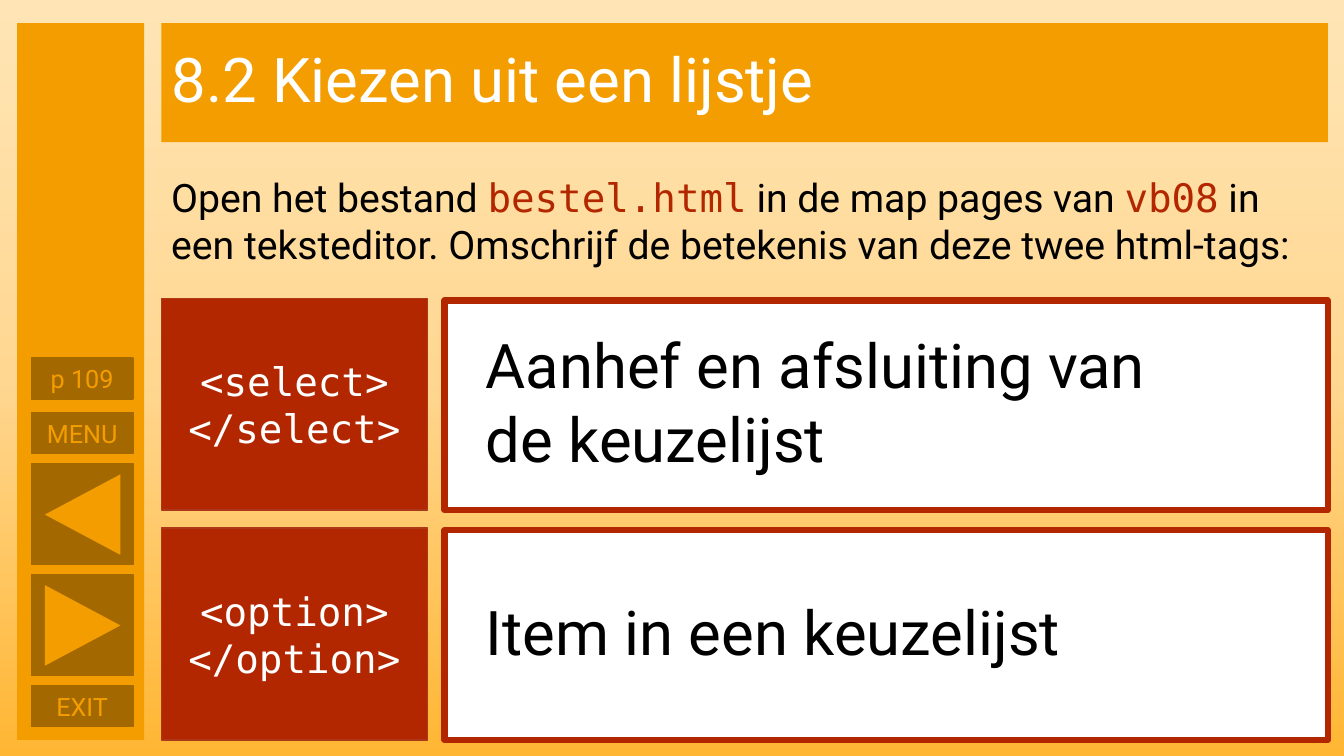
from dataclasses import dataclass
from lxml.etree import SubElement
from pptx import Presentation
from pptx.dml.color import RGBColor
from pptx.enum.shapes import MSO_SHAPE as Shape
from pptx.enum.text import MSO_ANCHOR as Anchor, MSO_AUTO_SIZE as Fit, PP_ALIGN as Align
from pptx.oxml.ns import qn
from pptx.util import Inches, Pt

# Content
TITLE = "8.2 Kiezen uit een lijstje"
TASK = [
    ("Open het bestand ", False),
    ("bestel.html", True),
    (" in de map pages van ", False),
    ("vb08", True),
    (" in een teksteditor. Omschrijf de betekenis van deze twee html-tags:", False),
]
TAGS = [
    (("<select>", "</select>"), "Aanhef en afsluiting van de keuzelijst", 1.58),
    (("<option>", "</option>"), "Item in een keuzelijst", 0.84),
]
LABELS = [("p 109", 3.55), ("MENU", 4.09), ("EXIT", 6.8)]
ARROWS = [(4.6, 270), (5.7, 90)]


@dataclass(frozen=True)
class Theme:
    sans: str = "Roboto"
    mono: str = "DejaVu Sans Mono"
    orange: str = "F49D00"
    brown: str = "A36900"
    red: str = "B22600"
    rim: str = "AC3819"
    white: str = "FFFFFF"
    black: str = "000000"
    sky: tuple = ((0, "FFE5B5"), (50, "FFD791"), (100, "FFB633"))
    big: int = 44
    body: int = 28
    small: int = 18


T = Theme()
LEFT, WIDE = 1.6, 11.57   # main column
TOP, STEP = 2.96, 2.28    # rows of tags


def rgb(code):
    return RGBColor.from_string(code)


def box(slide, at, fill, line=None, width=1, kind=Shape.RECTANGLE):
    shape = slide.shapes.add_shape(kind, *map(Inches, at))
    shape.shadow.inherit = False
    shape.fill.solid()
    shape.fill.fore_color.rgb = rgb(fill)
    if line:
        shape.line.color.rgb = rgb(line)
        shape.line.width = Pt(width)
    else:
        shape.line.fill.background()
    return shape


def write(para, text, size, color, face=T.sans):
    run = para.add_run()
    run.text = text
    run.font.size = Pt(size)
    run.font.name = face
    run.font.color.rgb = rgb(color)


def center(shape, lines, size, color, face=T.sans):
    frame = shape.text_frame
    frame.vertical_anchor = Anchor.MIDDLE
    for i, line in enumerate(lines):
        para = frame.add_paragraph() if i else frame.paragraphs[0]
        para.alignment = Align.CENTER
        write(para, line, size, color, face)


def textbox(slide, at):
    frame = slide.shapes.add_textbox(*map(Inches, at)).text_frame
    frame.word_wrap = True
    frame.auto_size = Fit.SHAPE_TO_FIT_TEXT
    return frame.paragraphs[0]


def backdrop(slide):
    slide.background.fill.gradient()
    grad = slide.element.find(".//" + qn("a:gradFill"))
    stops = grad.find(qn("a:gsLst"))
    for old in list(stops):
        stops.remove(old)
    for pos, code in T.sky:
        stop = SubElement(stops, qn("a:gs"), pos=str(pos * 1000))
        SubElement(stop, qn("a:srgbClr"), val=code)
    grad.find(qn("a:lin")).set("ang", str(90 * 60000))


def header(slide):
    title = slide.shapes.title
    title.left, title.top, title.width, title.height = map(
        Inches, (LEFT, 0.23, WIDE, 1.18))
    title.fill.solid()
    title.fill.fore_color.rgb = rgb(T.orange)
    frame = title.text_frame
    frame.auto_size = Fit.NONE
    frame.vertical_anchor = Anchor.MIDDLE
    para = frame.paragraphs[0]
    para.alignment = Align.LEFT
    para.line_spacing = 0.9
    write(para, TITLE, T.big, T.white)


def sidebar(slide):
    box(slide, (0.17, 0.23, 1.26, 7.11), T.orange)
    for text, y in LABELS:
        key = box(slide, (0.31, y, 1.01, 0.41), T.brown, T.brown)
        center(key, [text], T.small, T.orange)
    for y, turn in ARROWS:
        box(slide, (0.31, y, 1.01, 1), T.brown, T.brown)
        arrow = box(slide, (0.42, y + 0.13, 0.8, 0.75), T.orange,
                    kind=Shape.ISOSCELES_TRIANGLE)
        arrow.rotation = turn


def main():
    deck = Presentation()
    deck.slide_width, deck.slide_height = Inches(13.33), Inches(7.5)
    slide = deck.slides.add_slide(deck.slide_layouts[5])
    backdrop(slide)
    header(slide)
    sidebar(slide)

    # Task
    para = textbox(slide, (LEFT, 1.67, WIDE, 1.04))
    for text, code in TASK:
        write(para, text, T.body, T.red if code else T.black,
              T.mono if code else T.sans)

    # Tags with their meaning
    for i, (tags, text, high) in enumerate(TAGS):
        y = TOP + i * STEP
        card = box(slide, (LEFT, y, 2.64, 2.1), T.red, T.rim)
        center(card, tags, T.body, T.white, T.mono)
        box(slide, (4.41, y + 0.02, 8.76, 2.08), T.white, T.red, 4.5)
        mid = y + 1.02
        para = textbox(slide, (4.72, mid - high / 2, 7.46, high))
        write(para, text, T.big, T.black)

    deck.save("out.pptx")


if __name__ == "__main__":
    main()
